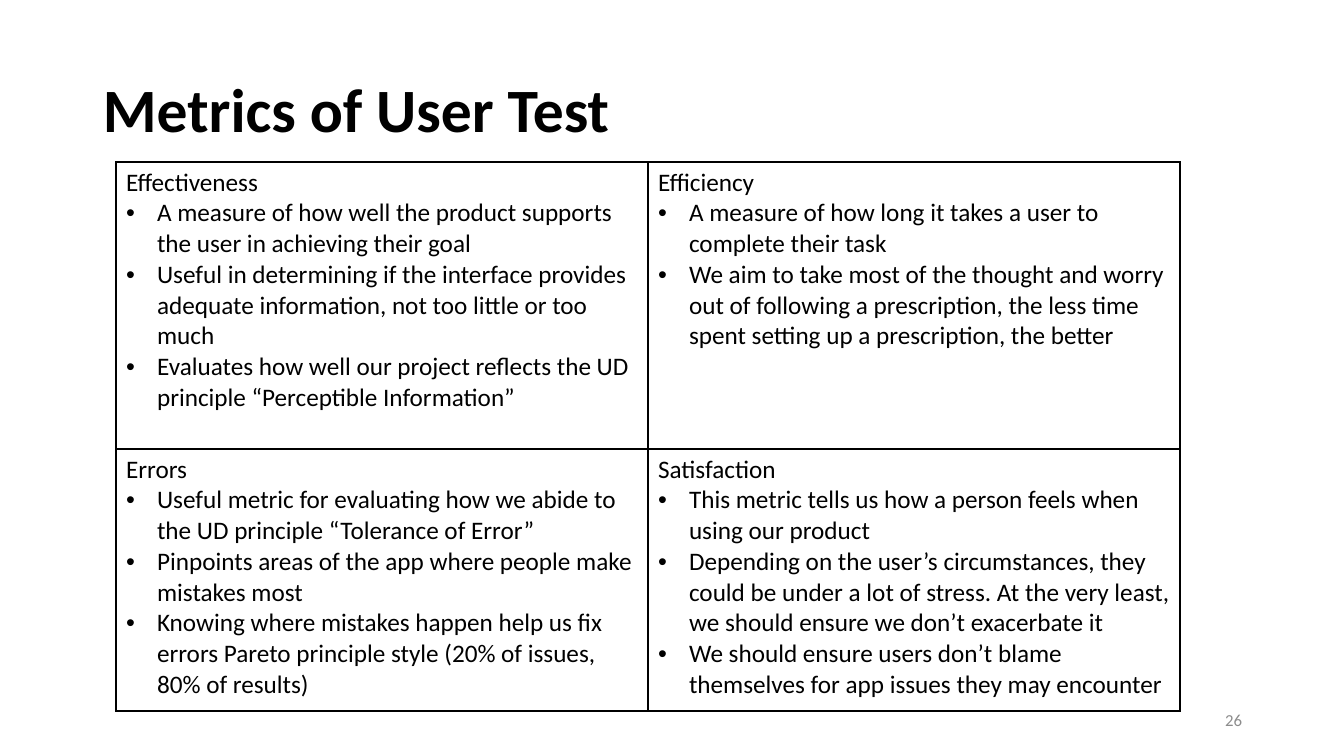
from lxml.etree import SubElement
from pptx import Presentation
from pptx.dml.color import RGBColor
from pptx.enum.text import MSO_ANCHOR as Anchor, PP_ALIGN as Align
from pptx.oxml.ns import qn
from pptx.util import Pt

EMU_PER_PX = 914400 / 100.8
FONT = "Calibri"
COLORS = {"text": "000000", "border": "000000", "number": "8C8C8C"}
METRICS = [
    [
        ("Effectiveness", [
            "A measure of how well the product supports the user in achieving their goal",
            "Useful in determining if the interface provides adequate information, "
            "not too little or too much",
            "Evaluates how well our project reflects the UD principle “Perceptible Information”",
        ]),
        ("Efficiency", [
            "A measure of how long it takes a user to complete their task",
            "We aim to take most of the thought and worry out of following a prescription, "
            "the less time spent setting up a prescription, the better",
        ]),
    ],
    [
        ("Errors", [
            "Useful metric for evaluating how we abide to the UD principle “Tolerance of Error”",
            "Pinpoints areas of the app where people make mistakes most",
            "Knowing where mistakes happen help us fix errors Pareto principle style "
            "(20% of issues, 80% of results)",
        ]),
        ("Satisfaction", [
            "This metric tells us how a person feels when using our product",
            "Depending on the user’s circumstances, they could be under a lot of stress. "
            "At the very least, we should ensure we don’t exacerbate it",
            "We should ensure users don’t blame themselves for app issues they may encounter",
        ]),
    ],
]


def px(length):
    """Turn pixels into EMU."""
    return round(length * EMU_PER_PX)


def add_span(para, text, size, color="text", bold=False):
    """Add one styled run to a paragraph."""
    span = para.add_run()
    span.text = text
    span.font.name = FONT
    span.font.size = Pt(size)
    span.font.bold = bold
    span.font.color.rgb = RGBColor.from_string(COLORS[color])


def add_label(page, bounds, text, size, color="text", bold=False, align=Align.LEFT):
    """Add a vertically centred line of text."""
    box = page.shapes.add_textbox(*map(px, bounds))
    frame = box.text_frame
    frame.word_wrap = True
    frame.vertical_anchor = Anchor.MIDDLE
    para = frame.paragraphs[0]
    para.alignment = align
    para.line_spacing = 0.9
    add_span(para, text, size, color, bold)


def add_bullet(frame, text):
    """Add a bulleted paragraph with a hanging indent."""
    para = frame.add_paragraph()
    properties = para._p.get_or_add_pPr()
    properties.set("marL", str(px(31)))
    properties.set("indent", str(px(-31)))
    SubElement(properties, qn("a:buFont"), typeface="Arial")
    SubElement(properties, qn("a:buChar"), char="•")
    add_span(para, text, 18)


def style_cell(cell):
    """Give a cell thin borders and no fill."""
    properties = cell._tc.get_or_add_tcPr()
    for side in ("L", "R", "T", "B"):
        line = SubElement(properties, qn(f"a:ln{side}"), w=str(Pt(1)))
        fill = SubElement(line, qn("a:solidFill"))
        SubElement(fill, qn("a:srgbClr"), val=COLORS["border"])
    cell.fill.background()


def add_metrics_table(page, left, top, column_width, row_heights):
    """Add the table with one metric in each cell."""
    columns = len(METRICS[0])
    bounds = (left, top, column_width * columns, sum(row_heights))
    table = page.shapes.add_table(len(METRICS), columns, *map(px, bounds)).table
    table.first_row = table.horz_banding = False
    for column in table.columns:
        column.width = px(column_width)
    for row, height, metrics in zip(table.rows, row_heights, METRICS):
        row.height = px(height)
        for cell, (name, points) in zip(row.cells, metrics):
            style_cell(cell)
            add_span(cell.text_frame.paragraphs[0], name, 18)
            for point in points:
                add_bullet(cell.text_frame, point)


def main():
    """Build and save the slide."""
    deck = Presentation()
    deck.slide_width, deck.slide_height = px(1344), px(756)
    page = deck.slides.add_slide(deck.slide_layouts[6])
    add_label(page, (93, 40, 1159, 146), "Metrics of User Test", 44, bold=True)
    add_metrics_table(page, 116, 162, 532, (287, 262))
    add_label(page, (950, 701, 302, 40), "26", 12, "number", align=Align.RIGHT)
    deck.save("out.pptx")


if __name__ == "__main__":
    main()
